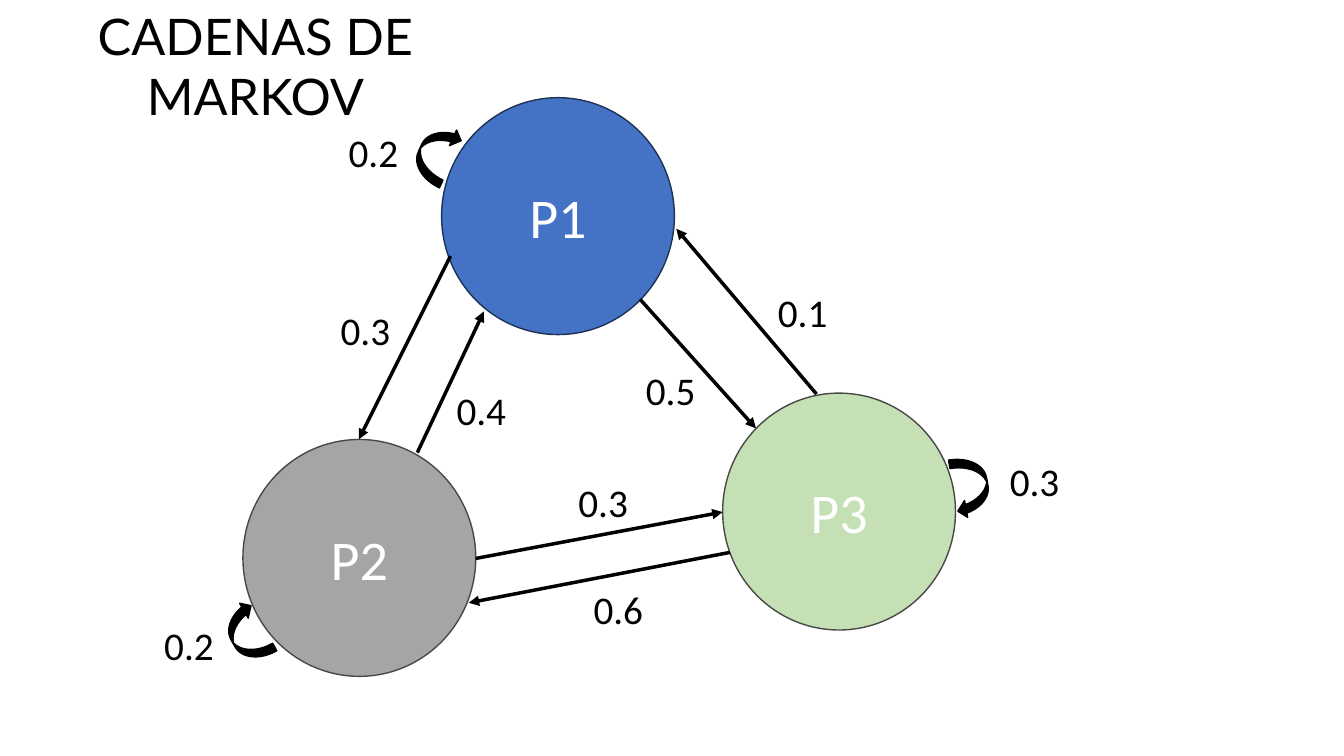
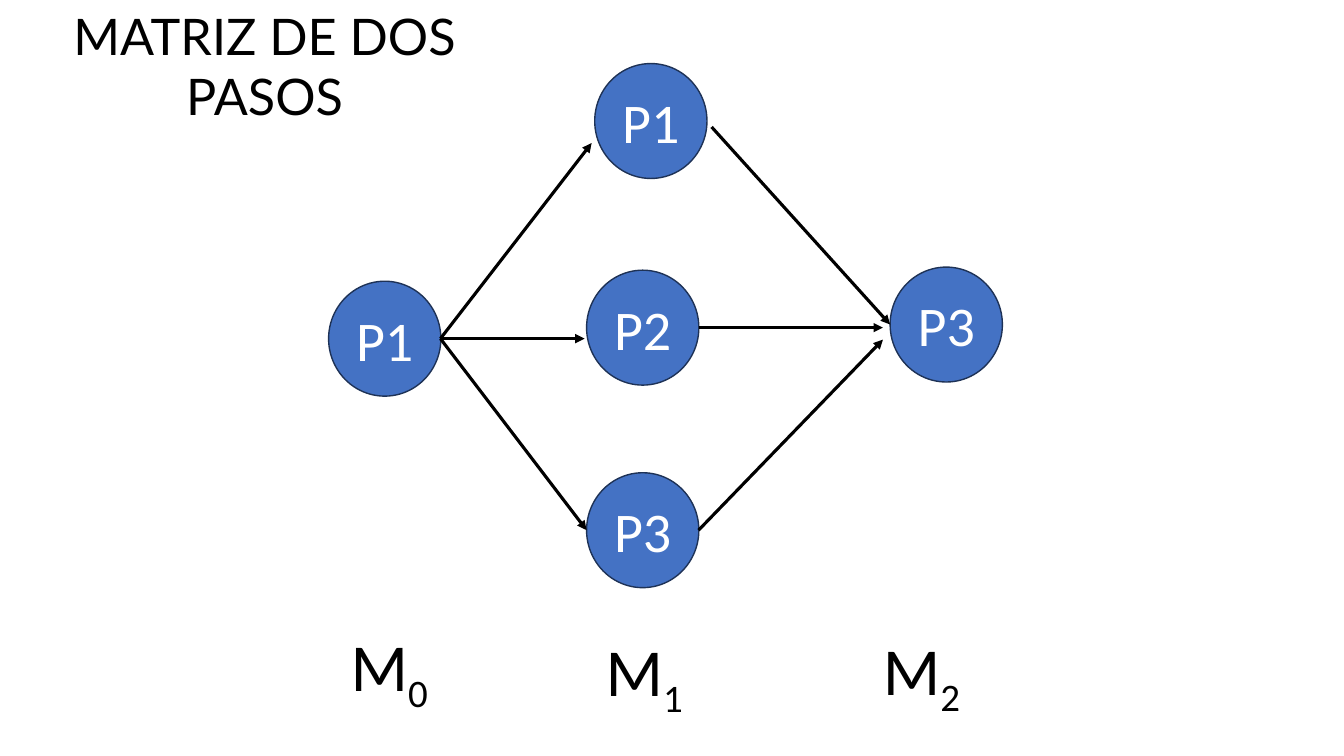
import pptx
import pptx.util
import pptx.dml.color
import pptx.enum.shapes
import pptx.enum.text
import pptx.oxml
import pptx.oxml.ns

Pt = pptx.util.Pt
SHAPES = pptx.enum.shapes.MSO_SHAPE
CENTER = pptx.enum.text.PP_ALIGN.CENTER
color = pptx.dml.color.RGBColor.from_string

BLACK, WHITE = "000000", "FFFFFF"
BLUE, NAVY = "4472C4", "1E3256"
GRAY, DARK_GRAY, GREEN = "A5A5A5", "484848", "C5E0B4"


def add_item(slide, box, text="", size=28, font="Calibri", subscript="",
             centered=False, preset=None, fill=BLACK, line=BLACK):
    """Add a text box, or a filled preset shape with white centred text."""
    lengths = [Pt(value) for value in box]
    if preset is None:
        shape = slide.shapes.add_textbox(*lengths)
        shape.text_frame.word_wrap = True
    else:
        shape = slide.shapes.add_shape(preset, *lengths)
        shape.shadow.inherit = False
        shape.fill.solid()
        shape.fill.fore_color.rgb = color(fill)
        shape.line.color.rgb = color(line)
        shape.line.width = Pt(1)
        shape.text_frame.vertical_anchor = pptx.enum.text.MSO_ANCHOR.MIDDLE
    paragraph = shape.text_frame.paragraphs[0]
    if centered or preset is not None:
        paragraph.alignment = CENTER
    for part in filter(None, (text, subscript)):
        run = paragraph.add_run()
        run.text = part
        run.font.size = Pt(size)
        run.font.name = font
        run.font.color.rgb = color(BLACK if preset is None else WHITE)
    if subscript:
        run._r.get_or_add_rPr().set("baseline", "-25000")
    return shape


def add_arrow(slide, start, end, width):
    """Add a straight black arrow pointing at its end."""
    connector = slide.shapes.add_connector(
        pptx.enum.shapes.MSO_CONNECTOR.STRAIGHT,
        *[Pt(value) for value in (*start, *end)])
    connector.line.color.rgb = color(BLACK)
    connector.line.width = Pt(width)
    head = pptx.oxml.parse_xml(
        f'<a:tailEnd {pptx.oxml.ns.nsdecls("a")} type="triangle"/>')
    connector.line._get_or_add_ln().append(head)
    connector._element.spPr.append(pptx.oxml.parse_xml(
        f'<a:effectLst {pptx.oxml.ns.nsdecls("a")}/>'))


presentation = pptx.Presentation()
presentation.slide_width = Pt(960)
presentation.slide_height = Pt(540)

slides = []
for title, title_width in (("CADENAS DE MARKOV", 365), ("MATRIZ DE DOS PASOS", 378)):
    slide = presentation.slides.add_slide(presentation.slide_layouts[6])
    add_item(slide, (0, 0, title_width, 51), title, 36, "Lato", centered=True)
    slides.append(slide)
chain_slide, steps_slide = slides

# Markov chain: states, transitions, loops and probabilities
for name, left, top, fill, line in (
        ("P1", 315.4, 69.8, BLUE, NAVY),
        ("P2", 173.5, 313.9, GRAY, DARK_GRAY),
        ("P3", 516.2, 280.8, GREEN, DARK_GRAY)):
    add_item(chain_slide, (left, top, 166.3, 169.2), name, 40,
             preset=SHAPES.OVAL, fill=fill, line=line)

for start, end in (
        ((321.8, 182.9), (256.3, 313.9)),
        ((339.8, 398.9), (516.2, 365.8)),
        ((583.2, 281.5), (483.1, 163.4)),
        ((457.2, 213.8), (540, 306)),
        ((298.1, 323.3), (345.6, 222.5)),
        ((521.3, 394.6), (334.8, 430.6))):
    add_arrow(chain_slide, start, end, 2.5)

for left, top, rotation in (
        (290.2, 97.2, 294.7), (154.8, 439.9, 240.1), (671.8, 335.5, 79.6)):
    loop = add_item(chain_slide, (left, top, 43.2, 24.5),
                    preset=SHAPES.CURVED_DOWN_ARROW)
    loop.rotation = rotation

for probability, left, top in (
        ("0.2", 241.9, 87.8), ("0.3", 236.2, 215.3), ("0.5", 454.3, 257.8),
        ("0.4", 319, 272.2), ("0.2", 110.2, 440.6), ("0.3", 406.1, 338.4),
        ("0.3", 714.2, 323.3), ("0.1", 548.6, 202.3), ("0.6", 416.9, 414.7)):
    add_item(chain_slide, (left, top, 57, 41), probability)

# Two-step paths from P1 to P3
for name, left, top in (
        ("P1", 234.7, 200.9), ("P1", 424.8, 45.4), ("P2", 419, 193),
        ("P3", 419, 337.7), ("P3", 635.8, 190.8)):
    add_item(steps_slide, (left, top, 80.2, 82.1), name, 40,
             preset=SHAPES.OVAL, fill=BLUE, line=NAVY)

origin = (314.6, 241.9)
for start, end in (
        (origin, (422.6, 102.2)), (origin, (417.6, 241.9)),
        (origin, (419, 378.7)),
        ((508.3, 90.7), (635.8, 231.8)), ((499, 234), (630.7, 234)),
        ((499, 378.7), (630.7, 242.6))):
    add_arrow(steps_slide, start, end, 2.25)

for step, (left, top) in enumerate(((243.4, 442.1), (425.5, 445.7), (623.5, 445))):
    add_item(steps_slide, (left, top, 82.8, 65.5), "M", 48, subscript=str(step))

presentation.save("out.pptx")
